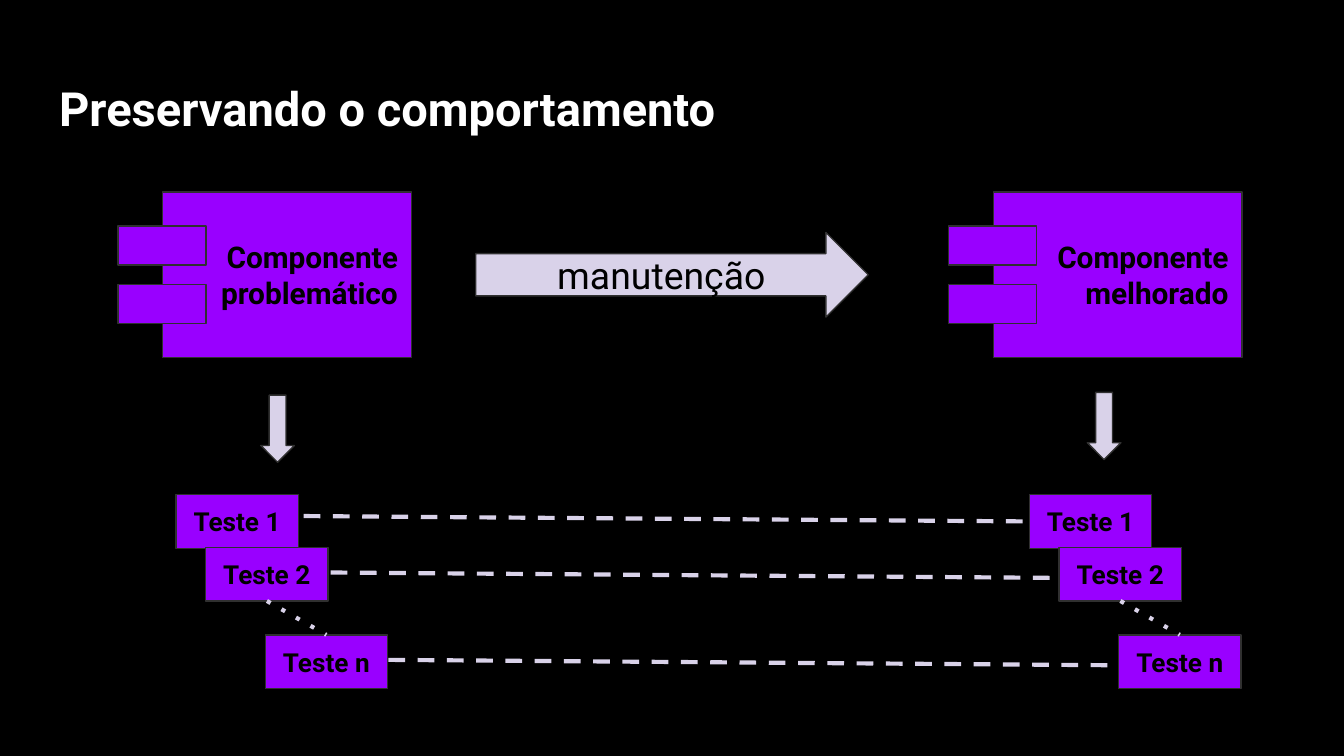
from lxml.etree import SubElement
from pptx import Presentation
from pptx.dml.color import RGBColor
from pptx.enum.dml import MSO_LINE
from pptx.enum.shapes import MSO_CONNECTOR, MSO_SHAPE
from pptx.enum.text import MSO_ANCHOR, PP_ALIGN
from pptx.oxml.ns import qn
from pptx.util import Inches, Pt

COLORS = {"bg": "000000", "title": "FFFFFF", "text": "000000",
          "box": "9900FF", "arrow": "D9D2E9", "edge": "303030"}
FONT = "Roboto"
TESTS = [("Teste 1", 0, 0), ("Teste 2", 0.14, 0.27), ("Teste n", 0.42, 0.72)]


def rgb(name):
    """Look up a palette colour."""
    return RGBColor.from_string(COLORS[name])


def within(box, x, y, w, h):
    """Turn shares of a box into a box in inches."""
    left, top, width, height = box
    return left + x * width, top + y * height, w * width, h * height


def write(tf, lines, size, color, bold=True, align=PP_ALIGN.CENTER):
    """Fill a text frame with evenly formatted paragraphs."""
    tf.word_wrap = True
    tf.vertical_anchor = MSO_ANCHOR.MIDDLE
    tf.margin_left = tf.margin_right = tf.margin_top = tf.margin_bottom = Inches(0.1)
    for i, line in enumerate(lines):
        p = tf.paragraphs[0] if i == 0 else tf.add_paragraph()
        p.text = line
        p.alignment = align
        p.font.name, p.font.size, p.font.bold = FONT, Pt(size), bold
        p.font.color.rgb = rgb(color)


def add_block(shapes, kind, box, fill):
    """Add a filled, thinly outlined preset shape."""
    sp = shapes.add_shape(kind, *map(Inches, box))
    sp.shadow.inherit = False
    sp.fill.solid()
    sp.fill.fore_color.rgb = rgb(fill)
    sp.line.color.rgb = rgb("edge")
    sp.line.width = Pt(0.75)
    return sp


def add_link(shapes, start, end, dash):
    """Add a straight patterned line between two points."""
    points = map(Inches, (*start, *end))
    cxn = shapes.add_connector(MSO_CONNECTOR.STRAIGHT, *points)
    cxn.line.color.rgb = rgb("arrow")
    cxn.line.width = Pt(2.25)
    cxn.line.dash_style = MSO_LINE.DASH
    sp_pr = cxn._element.spPr
    sp_pr.find(".//" + qn("a:prstDash")).set("val", dash)
    SubElement(sp_pr, qn("a:effectLst"))
    return cxn


def add_title(slide, box, text):
    """Place and format the title placeholder."""
    sp = slide.shapes.title
    sp.left, sp.top, sp.width, sp.height = map(Inches, box)
    write(sp.text_frame, [text], 25.2, "title", align=PP_ALIGN.LEFT)


def add_component(slide, box, lines):
    """Draw a component symbol with its two tabs."""
    group = slide.shapes.add_group_shape()
    body = add_block(group.shapes, MSO_SHAPE.RECTANGLE,
                     within(box, 0.196, 0, 0.804, 1), "box")
    write(body.text_frame, lines, 16, "text", align=PP_ALIGN.RIGHT)
    tabs = add_block(group.shapes, MSO_SHAPE.MATH_EQUAL,
                     within(box, 0, 0, 0.387, 1), "box")
    tabs.adjustments[0], tabs.adjustments[1] = 0.235, 0.118


def add_tests(slide, box):
    """Draw the staircase of test boxes and return them."""
    boxes = []
    for label, x, y in TESTS:
        sp = add_block(slide.shapes, MSO_SHAPE.RECTANGLE,
                       within(box, x, y, 0.576, 0.276), "box")
        write(sp.text_frame, [label], 14, "text")
        boxes.append(sp)
    dots = add_link(slide.shapes, box[:2], box[:2], "dot")
    dots.begin_connect(boxes[1], 2)
    dots.end_connect(boxes[2], 0)
    return boxes


def add_matches(slide, right):
    """Link equal tests on both sides with dashed lines."""
    starts = [(2.26, 3.84), (2.46, 4.26), (2.89, 4.91)]
    links = [add_link(slide.shapes, (x, y), (x + 5.4, y + 0.04), "dash")
             for x, y in starts]
    links[0].end_connect(right[0], 1)


def main():
    """Build the slide."""
    prs = Presentation()
    prs.slide_width = Inches(10)
    prs.slide_height = prs.slide_width * 9 // 16
    slide = prs.slides.add_slide(prs.slide_layouts[5])
    slide.background.fill.solid()
    slide.background.fill.fore_color.rgb = rgb("bg")

    add_title(slide, (0.34, 0.49, 9.32, 0.63), "Preservando o comportamento")
    add_component(slide, (0.76, 1.43, 2.3, 1.23), ["Componente", "problemático"])
    add_component(slide, (6.94, 1.43, 2.3, 1.23), ["Componente", "melhorado"])
    arrow = add_block(slide.shapes, MSO_SHAPE.RIGHT_ARROW,
                      (3.54, 1.73, 2.92, 0.63), "arrow")
    write(arrow.text_frame, ["manutenção"], 20, "text", bold=False)

    _, right = [add_tests(slide, (x, 3.68, 1.58, 1.45)) for x in (1.31, 7.66)]
    add_matches(slide, right)
    for x, y in [(1.94, 2.94), (8.09, 2.92)]:
        add_block(slide.shapes, MSO_SHAPE.DOWN_ARROW, (x, y, 0.25, 0.5), "arrow")
    prs.save("out.pptx")


if __name__ == "__main__":
    main()
